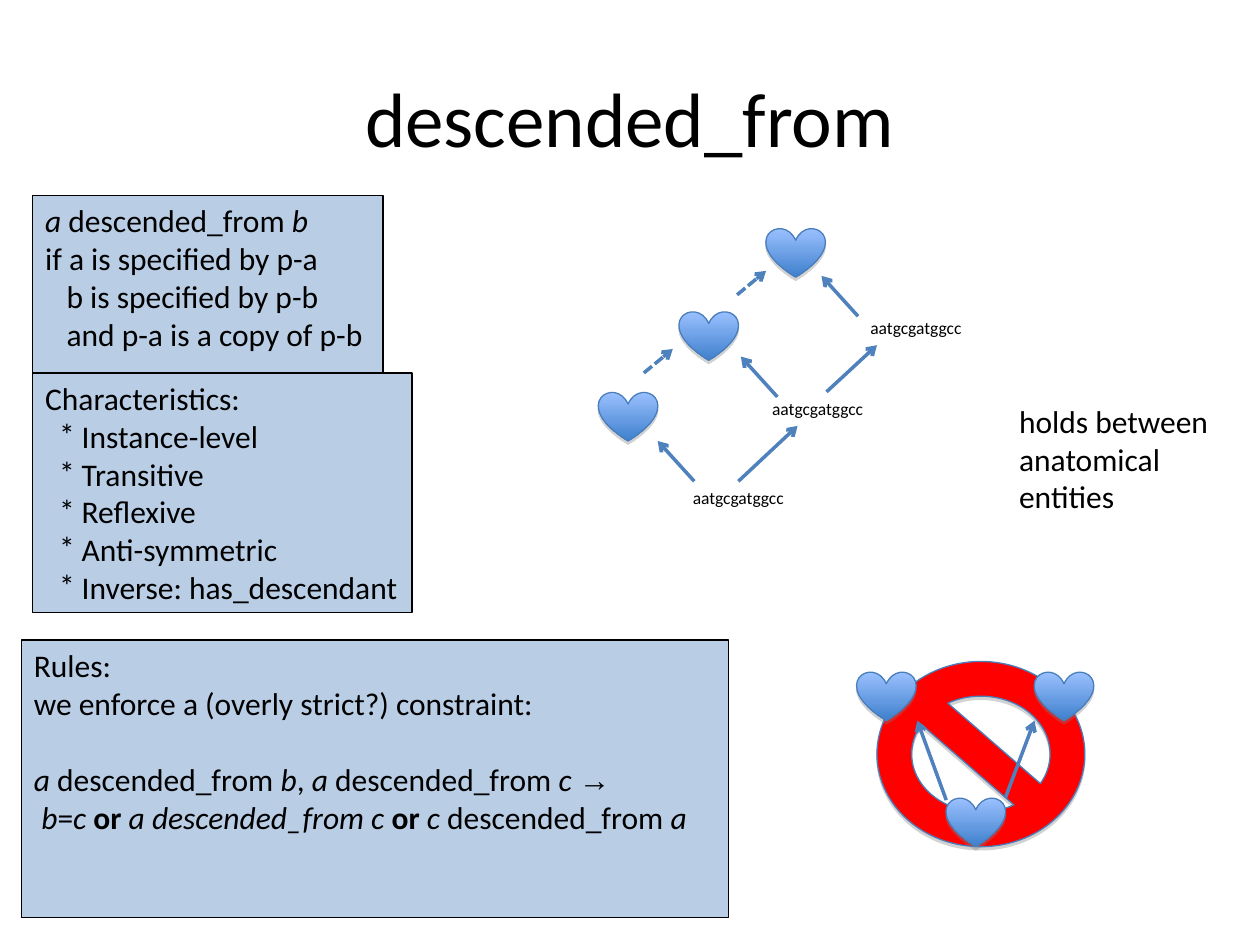
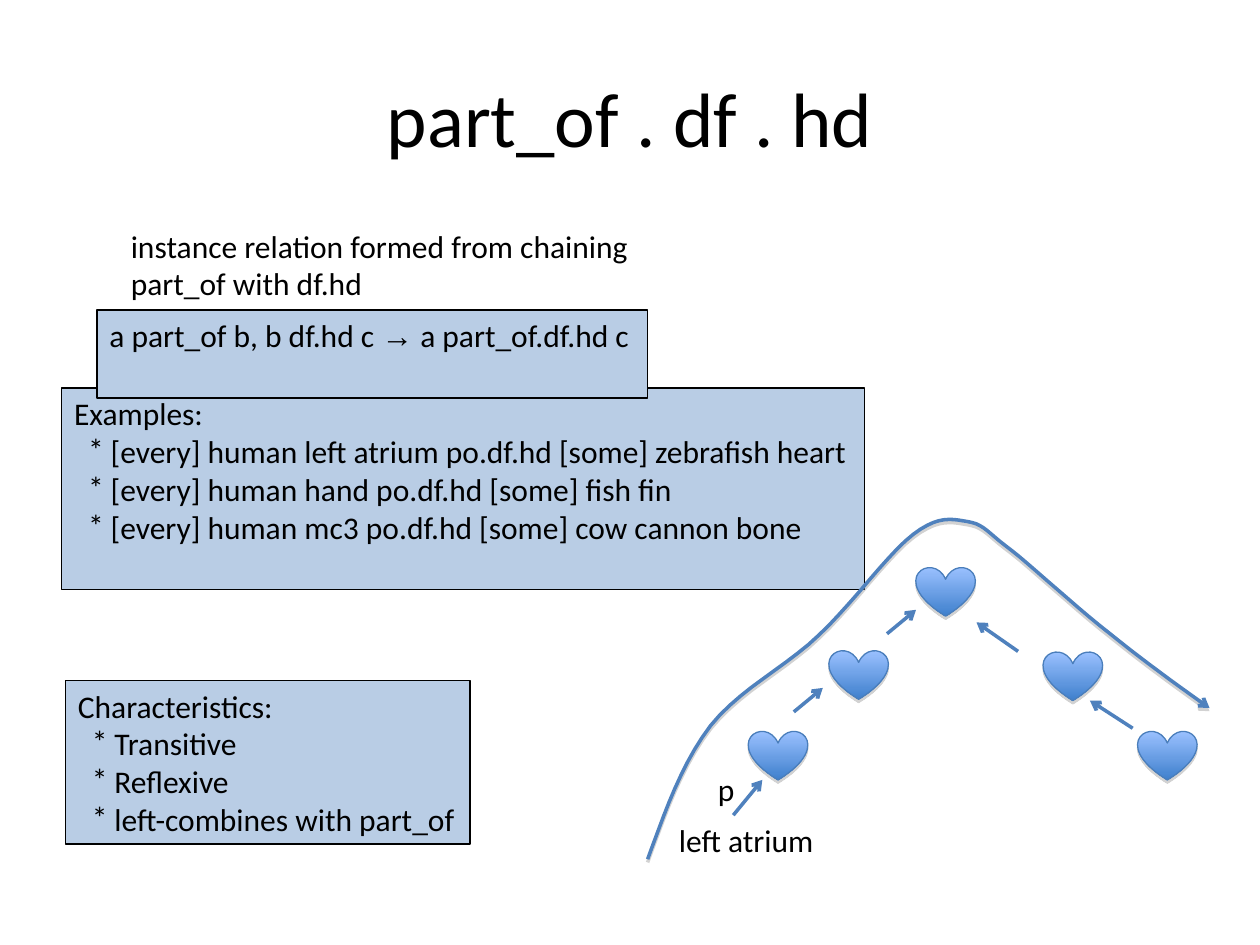
from dataclasses import dataclass

from lxml import etree
from pptx import Presentation
from pptx.dml.color import RGBColor
from pptx.enum import dml, shapes, text
from pptx.oxml import ns
from pptx.util import Inches, Pt

COLORS = {
    "text": "000000",
    "panel": "B9CDE5",
    "panel_line": "000000",
    "arrow": "4F81BD",
    "outline": "4A7EBB",
    "heart_top": "9BC1FF",
    "heart_bottom": "3F80CD",
    "ban": "FF0000",
    "shadow": "808080",
}
FONT, ARROW_FONT = "Calibri", "Arial"
BODY_SIZE, TITLE_SIZE, SEQUENCE_SIZE = 18, 44, 10
HEART_W, HEART_H = 0.47, 0.39
SEQUENCE = "aatgcgatggcc"
CURVE_UNITS = 1000  # freeform points are whole numbers, so an inch is divided


@dataclass
class Line:
    """One paragraph: runs of (text, style), where style holds i and/or b."""
    runs: list
    indent: float = 0
    bullet: bool = False
    before: float = 0


def plain(*lines):
    return [Line([(line, "")]) for line in lines]


def bullets(heading, *items):
    return plain(heading) + [Line([(item, "")], 0.29, True) for item in items]


def rgb(name):
    return RGBColor.from_string(COLORS[name])


def sub(parent, tag, **attributes):
    return etree.SubElement(parent, ns.qn(tag), attributes)


def write(frame, lines, size=BODY_SIZE, align=text.PP_ALIGN.LEFT,
          anchor=text.MSO_ANCHOR.TOP, right=0):
    layout = {"word_wrap": True, "vertical_anchor": anchor,
              "margin_left": Inches(0.1), "margin_right": Inches(right),
              "margin_top": Inches(0.05), "margin_bottom": Inches(0.05)}
    for name, value in layout.items():
        setattr(frame, name, value)
    for index, line in enumerate(lines):
        paragraph = frame.paragraphs[0] if index == 0 else frame.add_paragraph()
        paragraph.alignment = align
        paragraph.space_before = Pt(line.before)
        properties = paragraph._p.get_or_add_pPr()
        if line.indent:
            properties.set("marL", str(Inches(line.indent)))
        if line.bullet:
            properties.set("indent", str(Inches(-0.18)))
            sub(properties, "a:buFont", typeface=FONT)
            sub(properties, "a:buChar", char="*")
        for content, style in line.runs:
            run = paragraph.add_run()
            run.text = content
            look = {"name": ARROW_FONT if content == "→" else FONT,
                    "size": Pt(size), "italic": "i" in style, "bold": "b" in style}
            for name, value in look.items():
                setattr(run.font, name, value)
            run.font.color.rgb = rgb("text")


def label(slide, box, lines, **options):
    write(slide.shapes.add_textbox(*map(Inches, box)).text_frame, lines, **options)


def title(slide, heading):
    label(slide, (0.5, 0.3, 9, 1.25), plain(heading), size=TITLE_SIZE, right=0.1,
          align=text.PP_ALIGN.CENTER, anchor=text.MSO_ANCHOR.MIDDLE)


def outline(shape, color, width=0.75):
    shape.line.color.rgb = rgb(color)
    shape.line.width = Pt(width)


def panel(slide, box, lines):
    shape = slide.shapes.add_shape(shapes.MSO_SHAPE.RECTANGLE, *map(Inches, box))
    shape.shadow.inherit = False
    shape.fill.solid()
    shape.fill.fore_color.rgb = rgb("panel")
    outline(shape, "panel_line")
    write(shape.text_frame, lines)


def drop_shadow(shape):
    shape.shadow.inherit = False
    effects = shape._element.spPr.find(ns.qn("a:effectLst"))
    shadow = sub(effects, "a:outerShdw", blurRad="0", dist=str(Pt(1.8)),
                 dir="5400000", rotWithShape="0")
    color = sub(shadow, "a:srgbClr", val=COLORS["shadow"])
    sub(color, "a:alpha", val="35000")


def heart(slide, left, top):
    shape = slide.shapes.add_shape(
        shapes.MSO_SHAPE.HEART, *map(Inches, (left, top, HEART_W, HEART_H)))
    shape.fill.gradient()
    shape.fill.gradient_angle = 270
    for stop, name in zip(shape.fill.gradient_stops, ("heart_top", "heart_bottom")):
        stop.color.rgb = rgb(name)
    outline(shape, "outline")
    drop_shadow(shape)


def arrowhead(shape):
    sub(shape.line._get_or_add_ln(), "a:tailEnd", type="arrow")


def arrow(slide, start, end, dashed=False):
    link = slide.shapes.add_connector(
        shapes.MSO_CONNECTOR.STRAIGHT, *map(Inches, (*start, *end)))
    outline(link, "arrow", 2)
    if dashed:
        link.line.dash_style = dml.MSO_LINE.SQUARE_DOT
    arrowhead(link)
    sub(link._element.spPr, "a:effectLst")


def arrows(slide, left, top, links, dashed=False):
    """Arrows whose ends (x1, y1, x2, y2) are measured from left, top."""
    for x1, y1, x2, y2 in links:
        arrow(slide, (left + x1, top + y1), (left + x2, top + y2), dashed)


def heart_lineage(slide, left, top, dashed=False):
    """Three hearts rising to the right, each pointing to its ancestor."""
    for x, y in ((0, 1.3), (0.64, 0.66), (1.33, 0)):
        heart(slide, left + x, top + y)
    arrows(slide, left, top,
           ((0.36, 1.15, 0.59, 0.96), (1.1, 0.53, 1.33, 0.34)), dashed)


def sequence_lineage(slide, left, top):
    """Copied sequences, each specifying the heart to its upper left."""
    for x, y in ((0.65, 2.01), (1.28, 1.3), (2.06, 0.66)):
        label(slide, (left + x, top + y, 0.93, 0.27), plain(SEQUENCE),
              size=SEQUENCE_SIZE)
    copies = ((1.11, 2.01, 1.58, 1.57), (1.81, 1.3, 2.21, 0.93))
    specifies = [(x, y, x - 0.29, y - 0.32)
                 for x, y in ((0.76, 2.01), (1.42, 1.34), (2.06, 0.7))]
    arrows(slide, left, top, (*copies, *specifies))


def banned_merge(slide, left, top):
    """Prohibited case: one heart descended from two unrelated hearts."""
    ban = slide.shapes.add_shape(
        shapes.MSO_SHAPE.NO_SYMBOL, *map(Inches, (left + 0.16, top, 1.65, 1.47)))
    ban.fill.solid()
    ban.fill.fore_color.rgb = rgb("ban")
    outline(ban, "outline")
    drop_shadow(ban)
    for x, y in ((0.71, 1.08), (1.41, 0.08), (0, 0.08)):
        heart(slide, left + x, top + y)
    arrows(slide, left, top, ((1.18, 1.08, 1.41, 0.47), (0.71, 1.1, 0.48, 0.47)))


def bezier(points, steps=10):
    """Points along a chain of cubic curves that share their end points."""
    for first in range(0, len(points) - 1, 3):
        a, b, c, d = points[first:first + 4]
        for step in range(1, steps + 1):
            t = step / steps
            s = 1 - t
            yield tuple(s**3 * p + 3 * s * s * t * q + 3 * s * t * t * r + t**3 * e
                        for p, q, r, e in zip(a, b, c, d))


def chain_curve(slide, left, top):
    """The long arrow over the lineage, from the part to the far relative."""
    points = [
        (0, 2.73), (0.14, 2.35), (0.27, 1.97), (0.5, 1.67),
        (0.73, 1.38), (1.09, 1.21), (1.36, 0.95),
        (1.63, 0.7), (1.91, 0.3), (2.11, 0.15),
        (2.31, 0), (2.41, 0.03), (2.54, 0.05),
        (2.67, 0.07), (2.7, 0.14), (2.89, 0.28),
        (3.08, 0.43), (3.4, 0.73), (3.67, 0.94),
        (3.93, 1.15), (4.19, 1.34), (4.46, 1.53),
    ]
    start, *rest = [(x * CURVE_UNITS, y * CURVE_UNITS)
                    for x, y in (points[0], *bezier(points))]
    builder = slide.shapes.build_freeform(*start, scale=Inches(1) / CURVE_UNITS)
    builder.add_line_segments(rest, close=False)
    curve = builder.convert_to_shape(Inches(left), Inches(top))
    curve.fill.background()
    outline(curve, "arrow", 2)
    arrowhead(curve)
    drop_shadow(curve)


def descended_from_slide(slide):
    banned_merge(slide, 6.8, 5.25)
    title(slide, "descended_from")
    panel(slide, (0.26, 1.55, 2.78, 1.6), [
        Line([("a ", "i"), ("descended_from ", ""), ("b", "i")]),
        *plain("if a is specified by p-a"),
        Line([("b is specified by p-b", "")], 0.17),
        Line([("and p-a is a copy of p-b", "")], 0.17),
    ])
    panel(slide, (0.26, 2.96, 3.01, 1.9), bullets(
        "Characteristics:", "Instance-level", "Transitive", "Reflexive",
        "Anti-symmetric", "Inverse: has_descendant"))
    panel(slide, (0.17, 5.08, 5.61, 2.2), [
        *plain("Rules:", "we enforce a (overly strict?) constraint:"),
        Line([("a", "i"), (" descended_from ", ""), ("b", "i"), (", ", ""),
              ("a", "i"), (" descended_from ", ""), ("c ", "i"), ("→", "")],
             before=22),
        Line([("b", "i"), ("=", ""), ("c ", "i"), ("or ", "b"),
              ("a descended_from c ", "i"), ("or ", "b"), ("c", "i"),
              (" descended_from ", ""), ("a", "i")], 0.06),
    ])
    heart_lineage(slide, 4.75, 1.81, dashed=True)
    sequence_lineage(slide, 4.75, 1.81)
    label(slide, (7.99, 3.14, 1.7, 1),
          plain("holds between", "anatomical", "entities"))


def part_of_slide(slide):
    title(slide, "part_of . df . hd")
    panel(slide, (0.52, 5.4, 3.21, 1.3), bullets(
        "Characteristics:", "Transitive", "Reflexive", "left-combines with part_of"))
    panel(slide, (0.49, 3.08, 6.37, 1.6), bullets(
        "Examples:",
        "[every] human left atrium po.df.hd [some] zebrafish heart",
        "[every] human hand po.df.hd [some] fish fin",
        "[every] human mc3 po.df.hd [some] cow cannon bone"))
    heart_lineage(slide, 5.94, 4.5)
    for left, top in ((8.28, 5.17), (9.03, 5.8)):
        heart(slide, left, top)
    arrow(slide, (8.08, 5.17), (7.75, 4.94))
    arrow(slide, (8.99, 5.78), (8.65, 5.56))
    chain_curve(slide, 5.14, 4.09)
    arrow(slide, (5.82, 6.47), (6.05, 6.19))
    label(slide, (5.29, 6.47, 1.28, 0.7), plain("left atrium"))
    label(slide, (5.6, 6.06, 0.33, 0.4), plain("p"))
    label(slide, (0.94, 1.75, 5, 0.7),
          plain("instance relation formed from chaining", "part_of with df.hd"))
    panel(slide, (0.77, 2.46, 4.37, 0.7), [
        Line([("a part_of b, b df.hd c ", ""), ("→", ""), (" a part_of.df.hd c", "")])])


def main():
    deck = Presentation()
    deck.slide_width, deck.slide_height = Inches(10), Inches(7.5)
    blank = deck.slide_layouts[6]
    for fill_slide in (descended_from_slide, part_of_slide):
        fill_slide(deck.slides.add_slide(blank))
    deck.save("out.pptx")


if __name__ == "__main__":
    main()
